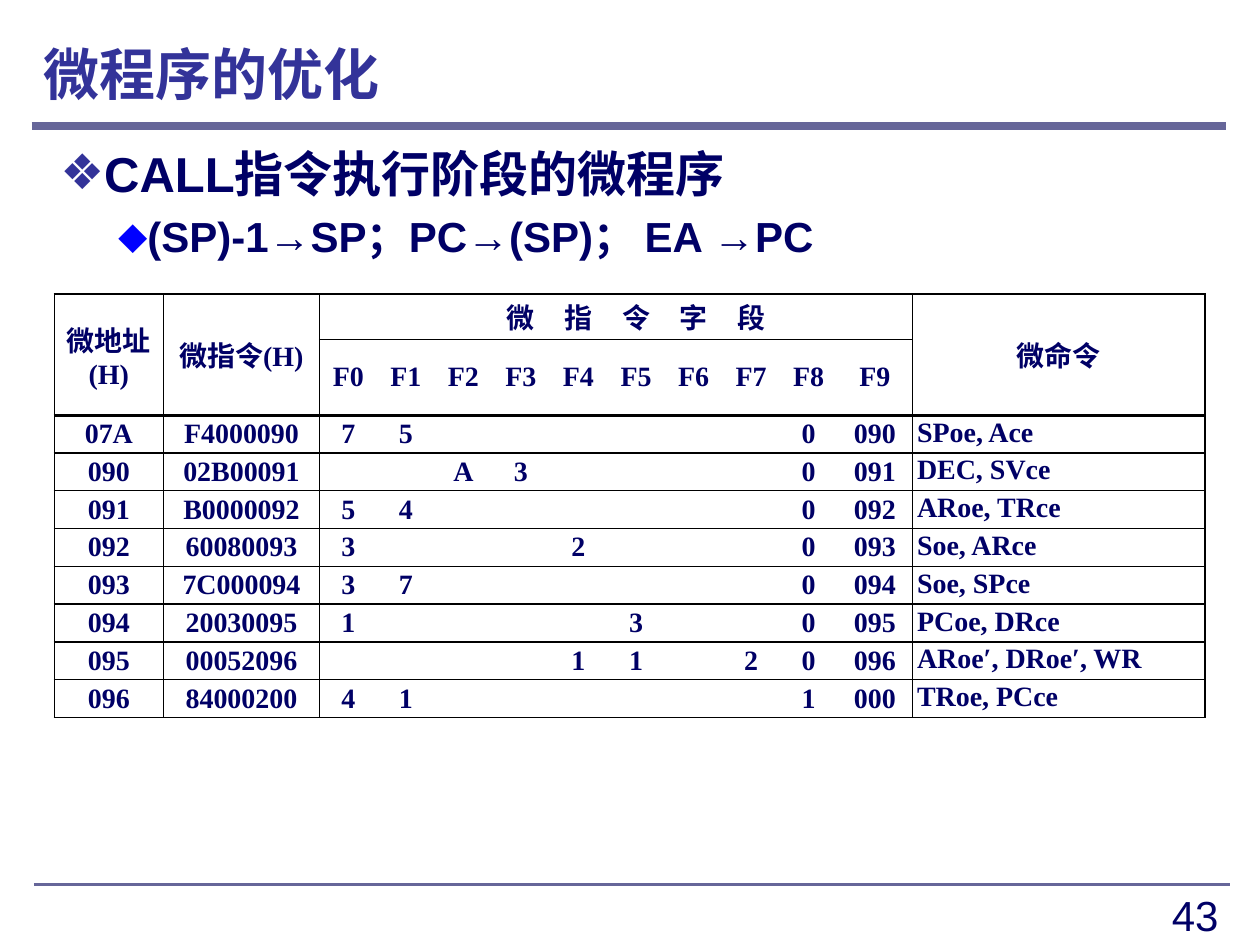
from dataclasses import dataclass

from lxml.etree import SubElement
from pptx import Presentation
from pptx.dml.color import RGBColor
from pptx.enum.shapes import MSO_CONNECTOR
from pptx.enum.text import MSO_ANCHOR, PP_ALIGN
from pptx.oxml.ns import qn
from pptx.util import Pt

NAVY, INDIGO, SLATE, BLUE, BLACK = "000066", "333399", "666699", "0000FF", "000000"
THIN, THICK = 1, 2
FIRST, LAST, SIGNAL = 2, 11, 12  # field columns F0 to F9, then the signals
HEADS = 2
WIDTHS = [62.4, 89.2] + [32.9] * 9 + [42.8, 167.4]


@dataclass
class Rule:
    left: float
    right: float
    top: float
    weight: float


@dataclass
class Label:
    text: str
    left: float
    top: float
    width: float
    height: float
    size: float
    font: str
    tint: str
    bold: bool
    align: PP_ALIGN
    anchor: MSO_ANCHOR


@dataclass
class Point:
    text: str
    size: float
    mark: str
    tint: str
    margin: float
    indent: float
    level: int


@dataclass
class Step:
    address: str
    code: str
    fields: dict[int, str]
    signals: str


RULES = [Rule(18, 700.6, 72, 4.5), Rule(19.4, 702.7, 505.4, 1.5)]
LABELS = [
    Label("微程序的优化", 18, 18, 682.6, 48, 32, "Cabin", INDIGO, True,
          PP_ALIGN.LEFT, MSO_ANCHOR.MIDDLE),
    Label("43", 535.7, 504.7, 167.7, 31.7, 24, "Arial", NAVY, False,
          PP_ALIGN.RIGHT, MSO_ANCHOR.TOP),
]
POINTS = [
    Point("CALL指令执行阶段的微程序", 28, "❖", INDIGO, 0, 9.4, 0),
    Point("(SP)-1→SP；PC→(SP)； EA →PC", 24, "⬥", BLUE, 30.2, 12.2, 1),
]
STEPS = [
    Step("07A", "F4000090", {0: "7", 1: "5", 8: "0", 9: "090"}, "SPoe, Ace"),
    Step("090", "02B00091", {2: "A", 3: "3", 8: "0", 9: "091"}, "DEC, SVce"),
    Step("091", "B0000092", {0: "5", 1: "4", 8: "0", 9: "092"}, "ARoe, TRce"),
    Step("092", "60080093", {0: "3", 4: "2", 8: "0", 9: "093"}, "Soe, ARce"),
    Step("093", "7C000094", {0: "3", 1: "7", 8: "0", 9: "094"}, "Soe, SPce"),
    Step("094", "20030095", {0: "1", 5: "3", 8: "0", 9: "095"}, "PCoe, DRce"),
    Step("095", "00052096", {4: "1", 5: "1", 7: "2", 8: "0", 9: "096"},
         "ARoe′, DRoe′, WR"),
    Step("096", "84000200", {0: "4", 1: "1", 8: "1", 9: "000"}, "TRoe, PCce"),
]


def color(code: str) -> RGBColor:
    return RGBColor.from_string(code)


def style(para, size: float, font: str, tint: str, bold: bool) -> None:
    for run in para.runs:
        run.font.size = Pt(size)
        run.font.name = font
        run.font.bold = bold
        run.font.color.rgb = color(tint)


def add_rule(slide, rule: Rule) -> None:
    line = slide.shapes.add_connector(
        MSO_CONNECTOR.STRAIGHT, Pt(rule.left), Pt(rule.top), Pt(rule.right), Pt(rule.top))
    line.line.color.rgb = color(SLATE)
    line.line.width = Pt(rule.weight)
    SubElement(line._element.spPr, qn("a:effectLst"))


def add_label(slide, label: Label) -> None:
    box = slide.shapes.add_textbox(
        Pt(label.left), Pt(label.top), Pt(label.width), Pt(label.height))
    frame = box.text_frame
    frame.word_wrap = True
    frame.vertical_anchor = label.anchor
    frame.text = label.text
    para = frame.paragraphs[0]
    para.alignment = label.align
    style(para, label.size, label.font, label.tint, label.bold)


def add_bullet(para, point: Point) -> None:
    props = para._p.get_or_add_pPr()
    props.set("marL", str(Pt(point.margin)))
    props.set("indent", str(Pt(point.indent)))
    SubElement(SubElement(props, qn("a:buClr")), qn("a:srgbClr"), val=point.tint)
    SubElement(props, qn("a:buFont"), typeface="Arial")
    SubElement(props, qn("a:buChar"), char=point.mark)


def add_points(slide, points: list[Point]) -> None:
    frame = slide.shapes.add_textbox(Pt(18), Pt(78.5), Pt(682.6), Pt(429.8)).text_frame
    frame.word_wrap = True
    frame.text = "\n".join(point.text for point in points)
    for para, point in zip(frame.paragraphs, points):
        para.level = point.level
        para.space_before = Pt(point.size * 0.2)
        add_bullet(para, point)
        style(para, point.size, "Arial", NAVY, True)


def set_edge(cell, side: str, weight: float) -> None:
    """Draw one cell border, or hide it when the weight is 0."""
    edge = SubElement(cell._tc.get_or_add_tcPr(), qn(f"a:ln{side}"), w=str(Pt(weight)))
    if weight:
        fill = SubElement(edge, qn("a:solidFill"))
        SubElement(fill, qn("a:srgbClr"), val=BLACK)
    else:
        SubElement(edge, qn("a:noFill"))


def set_edges(cell, row: int, col: int) -> None:
    """Rule the cell; field columns have no lines between them."""
    set_edge(cell, "L", 0 if FIRST < col <= LAST else THIN)
    set_edge(cell, "R", 0 if FIRST <= col < LAST else THIN)
    set_edge(cell, "T", THICK if row == HEADS else THIN)
    set_edge(cell, "B", THICK if row == HEADS - 1 else THIN)


def fill_cell(cell, text: str, row: int, col: int) -> None:
    cell.text = text
    para = cell.text_frame.paragraphs[0]
    signal = col == SIGNAL and row >= HEADS
    para.alignment = PP_ALIGN.LEFT if signal else PP_ALIGN.CENTER
    cell.vertical_anchor = MSO_ANCHOR.TOP if signal else MSO_ANCHOR.MIDDLE
    narrow = FIRST <= col <= LAST and row > 0
    cell.margin_left = cell.margin_right = Pt(1.2 if narrow else 2.8)
    cell.margin_top = cell.margin_bottom = Pt(1.2)
    style(para, 16, "Times New Roman", NAVY, True)
    if not text:  # keeps an empty cell from stretching its row
        SubElement(para._p, qn("a:endParaRPr"), sz="1600")
    set_edges(cell, row, col)
    cell.fill.background()


def add_grid(slide, steps: list[Step]) -> None:
    rows = [
        ["微地址(H)", "微指令(H)", "", "", "", *"微指令字段", "", "", "微命令"],
        ["", "", *(f"F{num}" for num in range(10)), ""],
    ]
    for step in steps:
        fields = [step.fields.get(num, "") for num in range(10)]
        rows.append([step.address, step.code, *fields, step.signals])
    heights = [26, 43.2] + [20.7] * len(steps)
    table = slide.shapes.add_table(
        len(rows), len(WIDTHS), Pt(31), Pt(168), Pt(sum(WIDTHS)), Pt(sum(heights))).table
    table.first_row = table.horz_banding = False
    for column, width in zip(table.columns, WIDTHS):
        column.width = Pt(width)
    for line, height in zip(table.rows, heights):
        line.height = Pt(height)
    for col in (0, 1, SIGNAL):
        table.cell(0, col).merge(table.cell(1, col))
    for row, texts in enumerate(rows):
        for col, text in enumerate(texts):
            fill_cell(table.cell(row, col), text, row, col)


def main() -> None:
    deck = Presentation()
    deck.slide_width, deck.slide_height = Pt(720), Pt(540)
    slide = deck.slides.add_slide(deck.slide_layouts[6])
    for rule in RULES:
        add_rule(slide, rule)
    for label in LABELS:
        add_label(slide, label)
    add_points(slide, POINTS)
    add_grid(slide, STEPS)
    deck.save("out.pptx")


if __name__ == "__main__":
    main()
